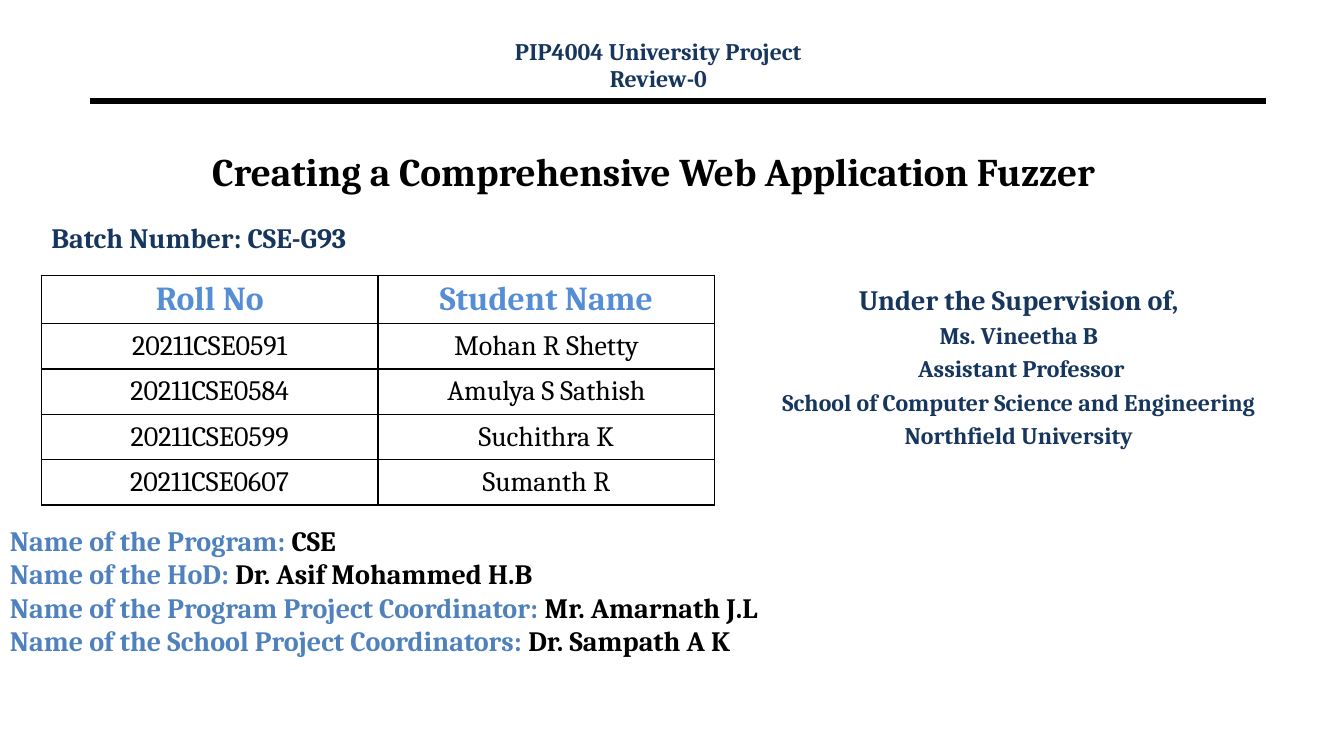
from dataclasses import dataclass

import pptx
import pptx.dml.color
import pptx.enum.shapes
import pptx.enum.text
import pptx.oxml
import pptx.oxml.ns
import pptx.shapes.base
import pptx.slide
import pptx.table
import pptx.text.text
import pptx.util

Inches = pptx.util.Inches
Pt = pptx.util.Pt
RGBColor = pptx.dml.color.RGBColor
Align = pptx.enum.text.PP_ALIGN
Anchor = pptx.enum.text.MSO_ANCHOR

FONT = "Cambria"
BLACK = RGBColor(0x00, 0x00, 0x00)
NAVY = RGBColor(0x17, 0x36, 0x5D)
BLUE = RGBColor(0x4F, 0x81, 0xBD)
LIGHT_BLUE = RGBColor(0x55, 0x8E, 0xD5)


@dataclass(frozen=True)
class Line:
    text: str
    size: float
    color: RGBColor = NAVY
    align: Align = Align.CENTER
    before: float = 0
    spacing: float = 1.0
    bold: bool = True
    answer: str = ""  # black text after the coloured label


@dataclass(frozen=True)
class Block:
    left: float
    top: float
    width: float
    height: float
    lines: tuple[Line, ...]
    anchor: Anchor = Anchor.TOP


TITLE = Block(0.86, 1.17, 11.33, 1.05, (
    Line("Creating a Comprehensive Web Application Fuzzer ", 28, BLACK),
), Anchor.MIDDLE)
BATCH = Block(0.41, 2.14, 4.34, 0.6, (
    Line("Batch Number: CSE-G93", 20, align=Align.LEFT),
))
SUPERVISOR = Block(7.09, 2.75, 6.03, 2.21, (
    Line("Under the Supervision of,", 20),
    *(Line(text, 17, before=3.4) for text in (
        "Ms. Vineetha B",
        " Assistant Professor",
        "School of Computer Science and Engineering",
        "Northfield University",
    )),
))
REVIEW = Block(4.36, 0.37, 4.34, 0.6, (
    Line("PIP4004 University Project", 17, spacing=0.8),
    Line("Review-0", 17, before=3.1, spacing=0.8),
))
PROGRAM = Block(0, 5.14, 13.4, 1.71, tuple(
    Line(label, 20, BLUE, Align.LEFT, answer=answer) for label, answer in (
        ("Name of the Program: ", "CSE"),
        ("Name of the HoD: ", "Dr. Asif Mohammed H.B"),
        ("Name of the Program Project Coordinator: ", "Mr. Amarnath J.L"),
        ("Name of the School Project Coordinators: ", "Dr. Sampath A K"),
    )
))
STUDENTS = (
    ("Roll No", "Student Name"),
    ("20211CSE0591", "Mohan R Shetty"),
    ("20211CSE0584", "Amulya S Sathish"),
    ("20211CSE0599", "Suchithra K"),
    ("20211CSE0607", "Sumanth R"),
)
HEADER_HEIGHT, ROW_HEIGHT, COLUMN_WIDTH = 0.48, 0.45, 3.34


def write_lines(frame: pptx.text.text.TextFrame, lines: tuple[Line, ...]) -> None:
    for index, line in enumerate(lines):
        para = frame.add_paragraph() if index else frame.paragraphs[0]
        para.alignment = line.align
        para.space_before = Pt(line.before)
        para.line_spacing = line.spacing
        para.font.name = FONT
        para.font.size = Pt(line.size)
        para.font.bold = line.bold
        para.font.color.rgb = line.color
        para.add_run().text = line.text
        if line.answer:
            span = para.add_run()
            span.text = line.answer
            span.font.color.rgb = BLACK


def fill_box(box: pptx.shapes.base.BaseShape, block: Block) -> None:
    box.left, box.top = Inches(block.left), Inches(block.top)
    box.width, box.height = Inches(block.width), Inches(block.height)
    frame = box.text_frame
    frame.word_wrap = True
    frame.auto_size = pptx.enum.text.MSO_AUTO_SIZE.NONE
    frame.vertical_anchor = block.anchor
    write_lines(frame, block.lines)


def add_border(cell: pptx.table._Cell) -> None:
    """Draw a thin black line on all four sides of the cell."""
    properties = cell._tc.get_or_add_tcPr()
    for index, side in enumerate(("lnL", "lnR", "lnT", "lnB")):
        properties.insert(index, pptx.oxml.parse_xml(
            f'<a:{side} {pptx.oxml.ns.nsdecls("a")} w="{Pt(1)}"><a:solidFill>'
            f'<a:srgbClr val="{BLACK}"/></a:solidFill></a:{side}>'
        ))


def add_students(page: pptx.slide.Slide) -> None:
    rows, columns = len(STUDENTS), len(STUDENTS[0])
    table = page.shapes.add_table(
        rows, columns, Inches(0.41), Inches(2.73),
        Inches(columns * COLUMN_WIDTH),
        Inches(HEADER_HEIGHT + (rows - 1) * ROW_HEIGHT),
    ).table
    table.first_row = table.horz_banding = False
    for row_index, texts in enumerate(STUDENTS):
        header = row_index == 0
        table.rows[row_index].height = Inches(HEADER_HEIGHT if header else ROW_HEIGHT)
        for column_index, text in enumerate(texts):
            cell = table.cell(row_index, column_index)
            cell.fill.background()
            cell.vertical_anchor = Anchor.MIDDLE
            cell.margin_top = cell.margin_bottom = Inches(0.01)
            add_border(cell)
            line = Line(text, 24, LIGHT_BLUE) if header else Line(text, 20, BLACK, bold=False)
            write_lines(cell.text_frame, (line,))


def add_rule(page: pptx.slide.Slide) -> None:
    rule = page.shapes.add_connector(
        pptx.enum.shapes.MSO_CONNECTOR.STRAIGHT,
        Inches(0.89), Inches(1), Inches(12.56), Inches(1),
    )
    rule.line.color.rgb = BLACK
    rule.line.width = Pt(4.5)
    properties = rule._element.spPr
    properties.append(pptx.oxml.parse_xml(f'<a:effectLst {pptx.oxml.ns.nsdecls("a")}/>'))


def main() -> None:
    deck = pptx.Presentation()
    deck.slide_width, deck.slide_height = Inches(13.33), Inches(7.5)
    page = deck.slides.add_slide(deck.slide_layouts[0])
    add_rule(page)
    fill_box(page.shapes.title, TITLE)
    fill_box(page.placeholders[1], BATCH)
    for block in (SUPERVISOR, REVIEW, PROGRAM):
        fill_box(page.shapes.add_textbox(0, 0, 0, 0), block)
    add_students(page)
    deck.save("out.pptx")


if __name__ == "__main__":
    main()
